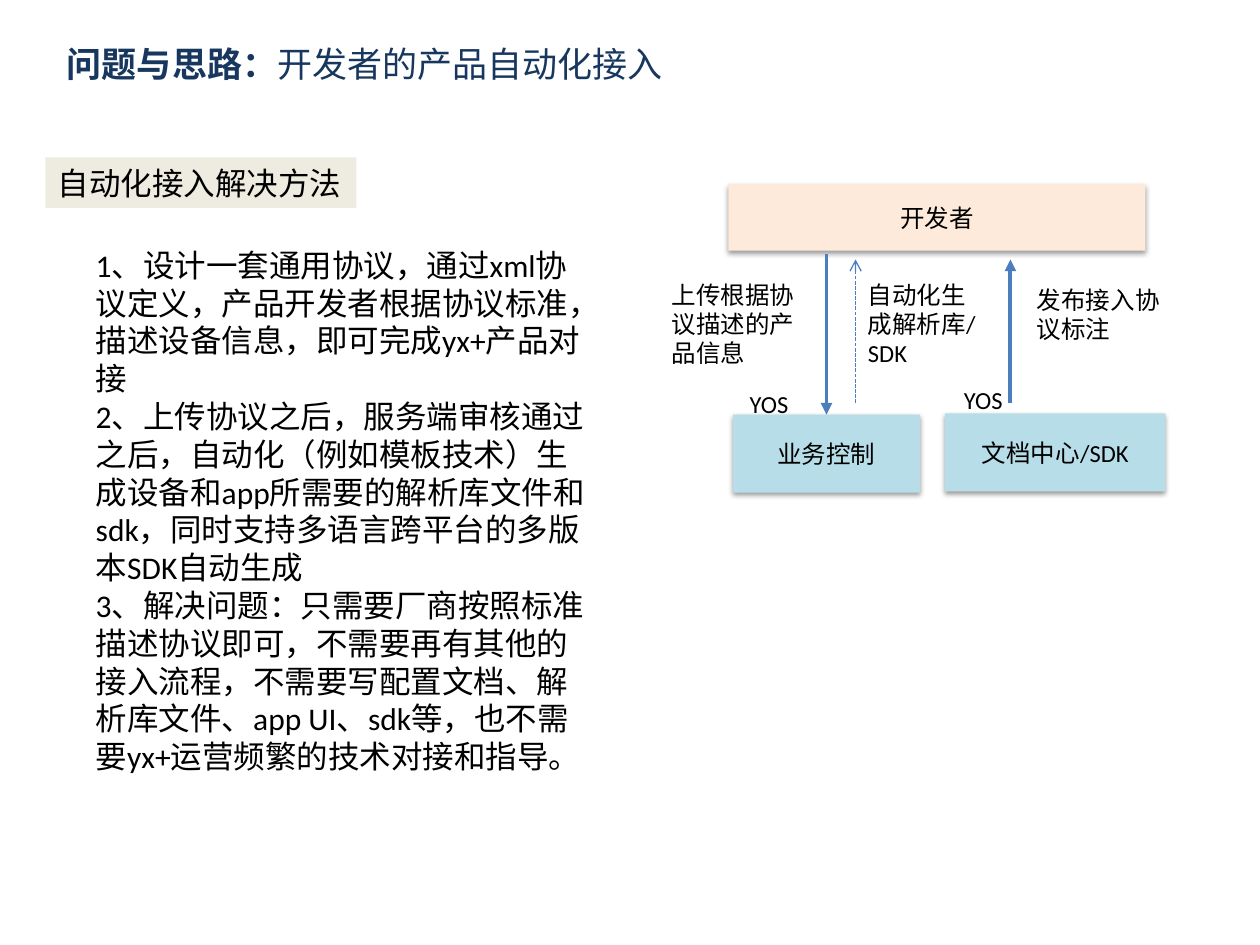
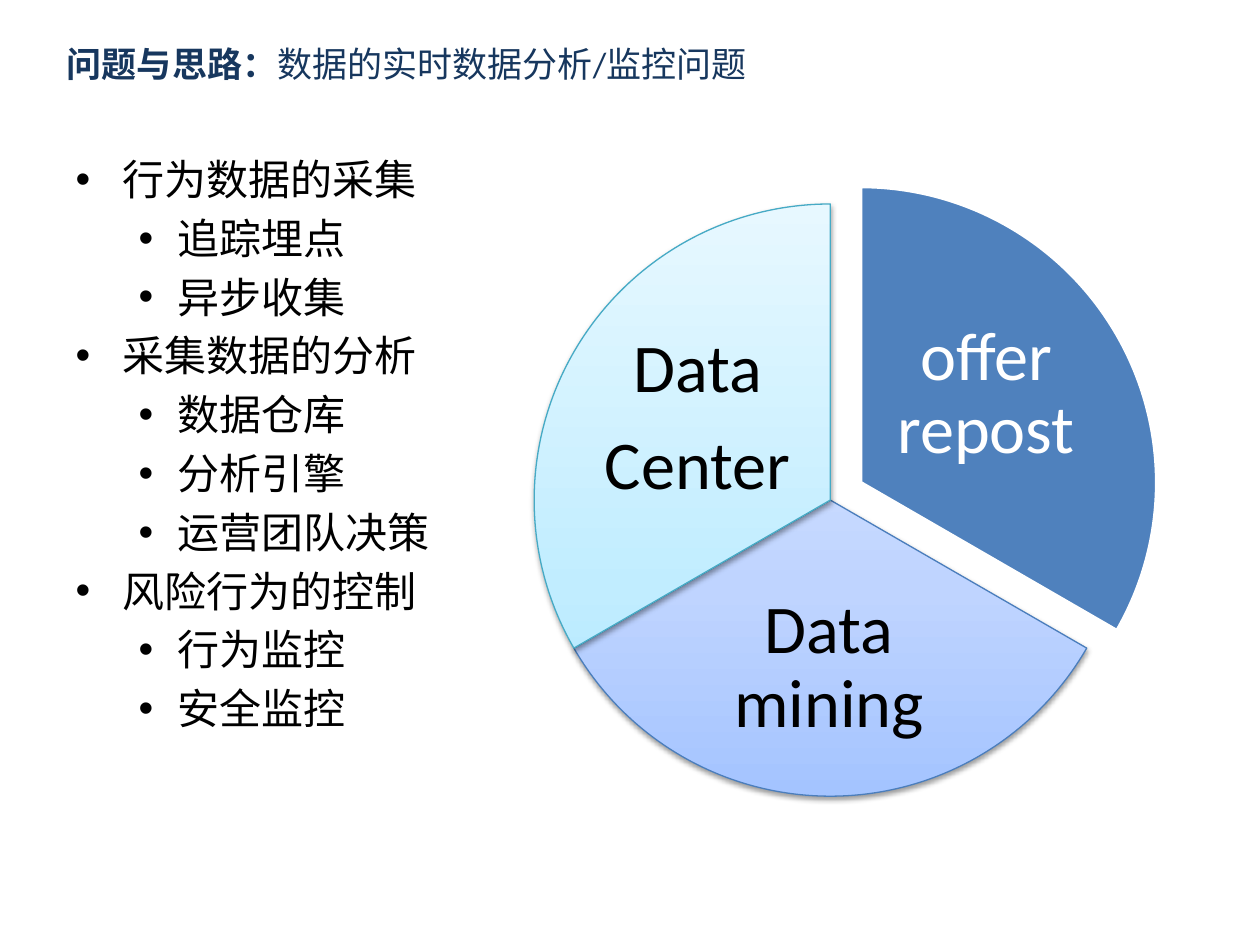
import dataclasses

import lxml.etree
import pptx
import pptx.dml.color
import pptx.enum.dml
import pptx.enum.shapes
import pptx.enum.text
import pptx.oxml.ns
import pptx.util

Pt = pptx.util.Pt
qn = pptx.oxml.ns.qn
SHAPE = pptx.enum.shapes.MSO_SHAPE
ALIGN = pptx.enum.text.PP_ALIGN
ANCHOR = pptx.enum.text.MSO_ANCHOR


@dataclasses.dataclass(frozen=True)
class Theme:
    font: str = "Calibri"
    navy: str = "17375E"
    black: str = "000000"
    white: str = "FFFFFF"
    sand: str = "EEECE1"
    peach: str = "FDEADA"
    aqua: str = "B7DEE8"
    blue: str = "4F81BD"
    stroke: str = "4B7EBC"
    teal: str = "46AAC5"
    periwinkle: tuple = ((0, "A4C4FF"), (35, "BFD4FF"), (100, "E6EEFF"))
    sky: tuple = ((0, "A7E6FF"), (35, "C1EDFF"), (100, "E7F8FF"))
    title_size: float = 20
    body_size: float = 18
    list_size: float = 24
    label_size: float = 14
    pie_size: float = 39


THEME = Theme()


def rgb(color):
    return pptx.dml.color.RGBColor.from_string(color)


def sub(parent, tag, **attrs):
    return lxml.etree.SubElement(parent, qn(tag), attrs)


def place(sp, box):
    sp.left, sp.top, sp.width, sp.height = (Pt(v) for v in box)


def add_run(p, text, size, color=THEME.black, bold=False):
    r = p.add_run()
    r.text = text
    r.font.name = THEME.font
    r.font.size = Pt(size)
    r.font.bold = bold
    r.font.color.rgb = rgb(color)


def paragraphs(tf, count):
    return [tf.paragraphs[0]] + [tf.add_paragraph() for _ in range(count - 1)]


def write(tf, lines, size, color=THEME.black, align=ALIGN.LEFT, anchor=ANCHOR.TOP):
    tf.word_wrap = True
    tf.vertical_anchor = anchor
    for p, line in zip(paragraphs(tf, len(lines)), lines):
        p.alignment = align
        add_run(p, line, size, color)


def add_slide(prs, topic, title_width):
    s = prs.slides.add_slide(prs.slide_layouts[1])
    sp = s.shapes.title
    place(sp, (31, 20.9, title_width, 36.7))
    tf = sp.text_frame
    tf.auto_size = pptx.enum.text.MSO_AUTO_SIZE.NONE
    tf.vertical_anchor = ANCHOR.TOP
    p = tf.paragraphs[0]
    p.alignment = ALIGN.LEFT
    add_run(p, "问题与思路：", THEME.title_size, THEME.navy, bold=True)
    add_run(p, topic, THEME.title_size, THEME.navy)
    return s


def body_frame(s, box):
    sp = s.placeholders[1]
    place(sp, box)
    sp.text_frame.auto_size = pptx.enum.text.MSO_AUTO_SIZE.NONE
    return sp.text_frame


def add_plain_body(s, box, lines):
    tf = body_frame(s, box)
    write(tf, lines, THEME.body_size)
    for p in tf.paragraphs:
        p.space_before = Pt(0)
        pPr = p._p.get_or_add_pPr()
        pPr.set("marL", "0")
        pPr.set("indent", "0")
        sub(pPr, "a:buNone")


def add_bullets(s, box, items):
    tf = body_frame(s, box)
    for p, (level, text) in zip(paragraphs(tf, len(items)), items):
        p.level = level
        sub(p._p.get_or_add_pPr(), "a:buChar", char="•")
        add_run(p, text, THEME.list_size)


def add_shadow(sp):
    effects = sp._element.spPr.find(qn("a:effectLst"))
    shadow = sub(effects, "a:outerShdw", blurRad=str(Pt(3.1)), dist=str(Pt(1.6)),
                 dir="5400000", rotWithShape="0")
    color = sub(shadow, "a:srgbClr", val=THEME.black)
    sub(color, "a:alpha", val="38000")


def add_shape(s, kind, box, fill):
    sp = s.shapes.add_shape(kind, *(Pt(v) for v in box))
    sp.shadow.inherit = False
    if isinstance(fill, str):
        sp.fill.solid()
        sp.fill.fore_color.rgb = rgb(fill)
    else:
        sp.fill.gradient()
        sp.fill.gradient_angle = 90
        stops = sp._element.spPr.find(".//" + qn("a:gsLst"))
        for stop in list(stops):
            stops.remove(stop)
        for pos, color in fill:
            sub(sub(stops, "a:gs", pos=str(pos * 1000)), "a:srgbClr", val=color)
    return sp


def add_box(s, box, text, fill):
    sp = add_shape(s, SHAPE.RECTANGLE, box, fill)
    sp.line.fill.background()
    add_shadow(sp)
    write(sp.text_frame, [text], THEME.label_size, align=ALIGN.CENTER, anchor=ANCHOR.MIDDLE)
    return sp


def add_tag(s, box, text):
    sp = add_shape(s, SHAPE.RECTANGLE, box, THEME.sand)
    sp.line.fill.background()
    write(sp.text_frame, [text], THEME.body_size)
    sp.text_frame.word_wrap = False


def add_label(s, box, text, align=ALIGN.LEFT, anchor=ANCHOR.TOP):
    sp = s.shapes.add_textbox(*(Pt(v) for v in box))
    write(sp.text_frame, [text], THEME.label_size, align=align, anchor=anchor)


def add_arrow(s, x, y1, y2, width=2.25, head="triangle", dashed=False):
    cn = s.shapes.add_connector(pptx.enum.shapes.MSO_CONNECTOR.STRAIGHT,
                                Pt(x), Pt(y1), Pt(x), Pt(y2))
    cn.line.color.rgb = rgb(THEME.stroke)
    cn.line.width = Pt(width)
    if dashed:
        cn.line.dash_style = pptx.enum.dml.MSO_LINE.SQUARE_DOT
    spPr = cn._element.spPr
    sub(spPr.find(qn("a:ln")), "a:tailEnd", type=head)
    sub(spPr, "a:effectLst")
    return cn


def add_slice(s, left, top, start, end, fill, stroke, width):
    sp = add_shape(s, SHAPE.PIE, (left, top, 338.4, 338.4), fill)
    sp.adjustments[0] = start * 0.6
    sp.adjustments[1] = end * 0.6
    sp.line.color.rgb = rgb(stroke)
    sp.line.width = Pt(width)
    return sp


def add_slice_label(s, box, lines, color=THEME.black):
    tf = s.shapes.add_textbox(*(Pt(v) for v in box)).text_frame
    tf.margin_left = tf.margin_right = tf.margin_top = tf.margin_bottom = Pt(3.6)
    write(tf, lines, THEME.pie_size, color, ALIGN.CENTER, ANCHOR.MIDDLE)
    for p in tf.paragraphs:
        p.line_spacing = 0.9
        p.space_after = Pt(13.65)


def build_access_slide(prs):
    s = add_slide(prs, "开发者的产品自动化接入", 499)
    add_plain_body(s, (47.5, 136.8, 300.2, 312.5), [
        "1、设计一套通用协议，通过xml协议定义，产品开发者根据协议标准，描述设备信息，即可完成yx+产品对接",
        "2、上传协议之后，服务端审核通过之后，自动化（例如模板技术）生成设备和app所需要的解析库文件和sdk，"
        "同时支持多语言跨平台的多版本SDK自动生成",
        "3、解决问题：只需要厂商按照标准描述协议即可，不需要再有其他的接入流程，不需要写配置文档、解析库文件、"
        "app UI、sdk等，也不需要yx+运营频繁的技术对接和指导。",
    ])
    control = add_box(s, (419, 236.9, 106.6, 44.6), "业务控制", THEME.aqua)
    add_box(s, (540, 236.2, 126, 44.6), "文档中心/SDK", THEME.aqua)
    for left, top in ((415.4, 221.8), (537.8, 219.6)):
        add_label(s, (left, top, 48.2, 17.3), "YOS", ALIGN.CENTER, ANCHOR.MIDDLE)
    add_box(s, (416.2, 105.1, 238.3, 38.2), "开发者", THEME.peach)

    upload = add_arrow(s, 472.3, 145.4, 236.9)
    upload.end_connect(control, 0)
    add_arrow(s, 577.4, 230.4, 148.3)
    add_arrow(s, 488.9, 230.4, 148.3, width=0.75, head="arrow", dashed=True)

    add_label(s, (376.6, 156.2, 87.8, 58.3), "上传根据协议描述的产品信息")
    add_label(s, (585.4, 159.1, 87.8, 41), "发布接入协议标注")
    add_label(s, (488.9, 156.2, 83.5, 58.3), "自动化生成解析库/SDK")
    add_tag(s, (25.9, 90, 177.8, 28.8), "自动化接入解决方法")


def build_monitoring_slide(prs):
    s = add_slide(prs, "数据的实时数据分析/监控问题", 535)
    add_slice(s, 322.6, 106.6, 270, 30, THEME.blue, THEME.white, 2)
    add_slice_label(s, (506.2, 169.2, 114.5, 113), ["offer repost"], THEME.white)
    add_shadow(add_slice(s, 305.3, 116.6, 30, 150, THEME.periwinkle, THEME.stroke, 0.75))
    add_slice_label(s, (397.4, 329.8, 152.6, 104.4), ["Data mining"])
    add_shadow(add_slice(s, 305.3, 116.6, 150, 270, THEME.sky, THEME.teal, 0.75))
    add_slice_label(s, (341.3, 182.9, 114.5, 113), ["Data", "Center"])
    add_bullets(s, (36, 84.2, 236.9, 398.2), [
        (0, "行为数据的采集"),
        (1, "追踪埋点"),
        (1, "异步收集"),
        (0, "采集数据的分析"),
        (1, "数据仓库"),
        (1, "分析引擎"),
        (1, "运营团队决策"),
        (0, "风险行为的控制"),
        (1, "行为监控"),
        (1, "安全监控"),
    ])


def main():
    prs = pptx.Presentation()
    prs.slide_width, prs.slide_height = Pt(720), Pt(540)
    build_access_slide(prs)
    build_monitoring_slide(prs)
    prs.save("out.pptx")


if __name__ == "__main__":
    main()
